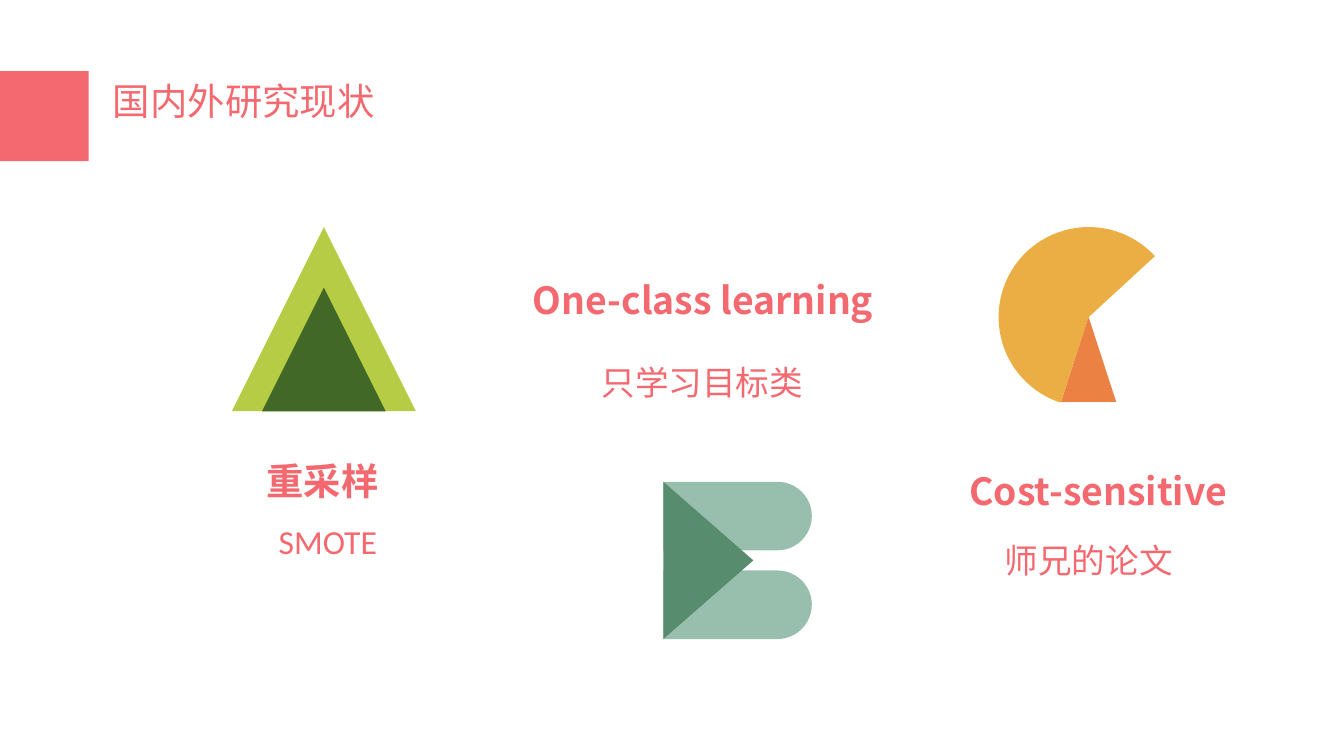
from dataclasses import dataclass

from lxml.etree import SubElement
from pptx import Presentation
from pptx.dml.color import RGBColor as RGB
from pptx.enum.shapes import MSO_SHAPE as SHAPE
from pptx.enum.text import MSO_ANCHOR as ANCHOR, MSO_AUTO_SIZE as AUTO, PP_ALIGN as ALIGN
from pptx.oxml.ns import qn
from pptx.util import Inches, Pt

COLS = 100  # square grid cells across the slide


@dataclass(frozen=True)
class Theme:
    coral: str = "F46970"
    lime: str = "B6CC45"
    forest: str = "416827"
    mint: str = "98BEAD"
    green: str = "578C6E"
    amber: str = "EBAE44"
    orange: str = "EC8144"
    cjk: str = "Noto Sans CJK SC"
    latin: str = "Calibri"
    heading: int = 20
    detail: int = 18


def write(sp, text, *, font, size, color, east_asian, bold=False, align=ALIGN.LEFT):
    tf = sp.text_frame
    tf.word_wrap = True
    tf.auto_size = AUTO.NONE
    tf.vertical_anchor = ANCHOR.TOP
    p = tf.paragraphs[0]
    p.alignment = align
    r = p.add_run()
    r.text = text
    r.font.name, r.font.size, r.font.bold = font, Pt(size), bold
    r.font.color.rgb = RGB.from_string(color)
    SubElement(r.font._element, qn("a:ea"), typeface=east_asian)


class Deck:
    """Holds the theme and the current slide; lengths are in grid cells."""

    def __init__(self, theme):
        self.theme = theme
        self.prs = Presentation()
        self.prs.slide_width = Inches(10)
        self.prs.slide_height = self.prs.slide_width * 9 // 16
        self.cell = self.prs.slide_width / COLS
        self.s = self.prs.slides.add_slide(self.prs.slide_layouts[5])

    def box(self, *cells):
        return [round(c * self.cell) for c in cells]

    def title(self, text, *at):
        sp = self.s.shapes.title
        sp.left, sp.top, sp.width, sp.height = self.box(*at)
        t = self.theme
        write(sp, text, font=t.cjk, size=t.heading, color=t.coral, east_asian=t.cjk)

    def shape(self, kind, color, *at, rotation=0, adjust=()):
        sp = self.s.shapes.add_shape(kind, *self.box(*at))
        sp.shadow.inherit = False
        sp.fill.solid()
        sp.fill.fore_color.rgb = RGB.from_string(color)
        sp.line.fill.background()
        sp.rotation = rotation
        for i, value in enumerate(adjust):
            sp.adjustments[i] = value

    def text(self, text, *at, **style):
        sp = self.s.shapes.add_textbox(*self.box(*at))
        write(sp, text, color=self.theme.coral, east_asian=self.theme.cjk, **style)

    def heading(self, text, left, top, width, align=ALIGN.LEFT):
        t = self.theme
        self.text(text, left, top, width, 4.4, font=t.cjk, size=t.heading,
                  bold=True, align=align)

    def detail(self, text, left, top):
        t = self.theme
        self.text(text, left, top, 19.4, 4, font=t.latin, size=t.detail,
                  align=ALIGN.CENTER)

    def letter_a(self, center, base):
        for color, side in ((self.theme.lime, 13.7), (self.theme.forest, 9.2)):
            self.shape(SHAPE.ISOSCELES_TRIANGLE, color,
                       center - side / 2, base - side, side, side)

    def letter_b(self, left, top):
        length, thick, height, depth = 11.05, 5.1, 11.7, 6.7
        for y in (top + height - thick, top):
            # An upright bar, turned so that its round end points right
            self.shape(SHAPE.ROUND_2_SAME_RECTANGLE, self.theme.mint,
                       left + (length - thick) / 2, y - (length - thick) / 2,
                       thick, length, rotation=90, adjust=(0.5, 0))
        self.shape(SHAPE.ISOSCELES_TRIANGLE, self.theme.green,
                   left - (height - depth) / 2, top + (height - depth) / 2,
                   height, depth, rotation=90)

    def letter_c(self, left, top):
        size, foot = 13.4, 4.1
        self.shape(SHAPE.PIE, self.theme.amber, left, top, size, size,
                   rotation=47.4, adjust=(36.45, 162))
        self.shape(SHAPE.ISOSCELES_TRIANGLE, self.theme.orange,
                   left + (size - foot) / 2, top + size / 2, foot, 6.3)


def main():
    theme = Theme()
    d = Deck(theme)
    d.title("国内外研究现状", 7.4, 5.3, 23.6, 4.4)
    d.shape(SHAPE.RECTANGLE, theme.coral, -0.1, 5.3, 6.7, 6.7)

    d.letter_a(24.1, 30.6)
    d.heading("重采样", 12.6, 33.6, 22.8, ALIGN.CENTER)
    d.detail("SMOTE", 14.7, 38.3)

    d.letter_b(49.35, 35.85)
    d.heading("One-class learning", 38.65, 20.15, 29.2)
    d.detail("只学习目标类", 42.55, 26.45)

    d.letter_c(74.3, 16.9)
    d.heading("Cost-sensitive", 71.15, 34.35, 22.8)
    d.detail("师兄的论文", 71.3, 39.7)

    d.prs.save("out.pptx")


if __name__ == "__main__":
    main()
